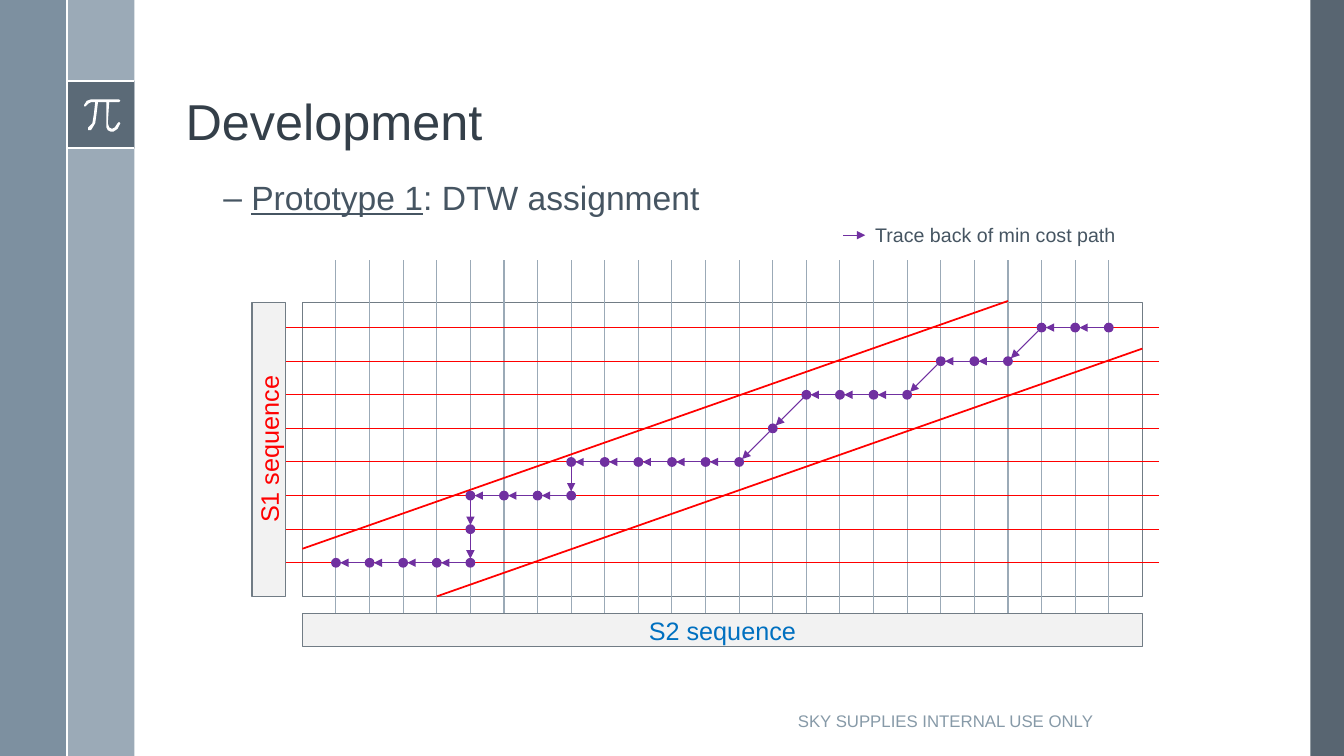
from itertools import pairwise
from math import hypot

from lxml import etree
from pptx import Presentation
from pptx.dml.color import RGBColor
from pptx.enum.shapes import MSO_CONNECTOR, MSO_SHAPE
from pptx.enum.text import MSO_ANCHOR, PP_ALIGN
from pptx.oxml.ns import qn
from pptx.util import Pt

WHITE = RGBColor(0xFF, 0xFF, 0xFF)
INK = RGBColor(0x34, 0x3F, 0x49)
SLATE = RGBColor(0x46, 0x55, 0x62)
STEEL = RGBColor(0x6A, 0x80, 0x93)
MIST = RGBColor(0x9B, 0xAA, 0xB7)
FOOTER = RGBColor(0x87, 0x9A, 0xA8)
BORDER = RGBColor(0x71, 0x7C, 0x85)
PALE = RGBColor(0xF2, 0xF2, 0xF2)
RED = RGBColor(0xFF, 0x00, 0x00)
BLUE = RGBColor(0x00, 0x70, 0xC0)
PURPLE = RGBColor(0x70, 0x30, 0xA0)


def add_line(shapes, x1, y1, x2, y2, color, width=0.75, arrow=None):
    """Draw a straight line; arrow is the end to point, "headEnd" or "tailEnd"."""
    c = shapes.add_connector(MSO_CONNECTOR.STRAIGHT, Pt(x1), Pt(y1), Pt(x2), Pt(y2))
    c.line.color.rgb = color
    c.line.width = Pt(width)
    if arrow:
        etree.SubElement(c.line._get_or_add_ln(), qn("a:" + arrow), type="triangle")
    etree.SubElement(c._element.spPr, qn("a:effectLst"))


def add_text(sp, text, size, color, align=PP_ALIGN.LEFT, anchor=MSO_ANCHOR.TOP,
             spacing=1.0, underline=False):
    """Append a run to the first paragraph of a shape and return the paragraph."""
    tf = sp.text_frame
    tf.word_wrap = True
    tf.vertical_anchor = anchor
    p = tf.paragraphs[0]
    p.alignment = align
    p.line_spacing = spacing
    r = p.add_run()
    r.text = text
    r.font.name = "Arial"
    r.font.size = Pt(size)
    r.font.color.rgb = color
    r.font.underline = underline
    return p


prs = Presentation()
prs.slide_width, prs.slide_height = Pt(960), Pt(540)
s = prs.slides.add_slide(prs.slide_layouts[6])

# Side bands and the pi tile
for x, y, w, h, color, opacity in [
    (936, 0, 24, 540, SLATE, 90),
    (48, 0, 48, 540, MIST, 100),
    (0, 0, 48, 540, STEEL, 87),
    (48, 58, 48, 48, SLATE, 75),
]:
    sp = s.shapes.add_shape(MSO_SHAPE.RECTANGLE, Pt(x), Pt(y), Pt(w), Pt(h))
    sp.shadow.inherit = False
    sp.fill.solid()
    sp.fill.fore_color.rgb = color
    sp.line.fill.background()
    if opacity < 100:
        srgb = sp._element.spPr.find(".//" + qn("a:srgbClr"))
        etree.SubElement(srgb, qn("a:alpha"), val=str(opacity * 1000))

for y in (58, 106):
    add_line(s.shapes, 48, y, 96, y, WHITE, 1.5)

PI_OUTLINE = [
    (85, 70.6), (64.8, 70.6), (62, 72), (60, 74.9), (60.5, 75.6), (61.2, 75.6),
    (62.6, 73.6), (64.8, 72.7), (67.7, 72.7), (67, 82), (65.5, 88), (63.4, 91.4),
    (63.4, 92.9), (64.8, 92.9), (67.5, 88), (69, 81), (69.8, 72.7), (76.3, 72.7),
    (75.6, 87.8), (75.8, 91), (77, 92.9), (79.2, 93.6), (80.6, 93.6), (84, 91.8),
    (85.7, 87.8), (85, 87.1), (83.5, 87.8), (82.3, 91), (79.9, 92.2), (77.8, 91.4),
    (77, 87.8), (78.5, 72.7), (85, 72.7), (85.7, 72),
]
outline = s.shapes.build_freeform(*PI_OUTLINE[0], scale=Pt(1))
outline.add_line_segments(PI_OUTLINE[1:], close=True)
pi = outline.convert_to_shape()
pi.shadow.inherit = False
pi.fill.solid()
pi.fill.fore_color.rgb = WHITE
pi.line.fill.background()
add_line(s.shapes, 48, 0, 48, 540, WHITE, 1.5)

# Title, subtitle and footer
title = s.shapes.add_textbox(Pt(125.5), Pt(14), Pt(770), Pt(98))
add_text(title, "Development", 36, INK, anchor=MSO_ANCHOR.BOTTOM, spacing=0.9)

body = s.shapes.add_textbox(Pt(124.5), Pt(126), Pt(770), Pt(360))
add_text(body, "Prototype 1", 24, SLATE, spacing=0.9, underline=True)
p = add_text(body, ": DTW assignment", 24, SLATE, spacing=0.9)
pPr = p._p.get_or_add_pPr()
pPr.set("marL", str(Pt(48)))
pPr.set("indent", str(Pt(-20)))
etree.SubElement(pPr, qn("a:buFont"), typeface="Arial")
etree.SubElement(pPr, qn("a:buChar"), char="–")

footer = s.shapes.add_textbox(Pt(519), Pt(500.5), Pt(313), Pt(29))
add_text(footer, "SKY SUPPLIES INTERNAL USE ONLY", 12, FOOTER,
         align=PP_ALIGN.CENTER, anchor=MSO_ANCHOR.MIDDLE)

# Warping grid
STEP, LEFT, TOP = 24, 240, 234
COLS, ROWS = 24, 8

plot = s.shapes.add_shape(MSO_SHAPE.RECTANGLE, Pt(216), Pt(216), Pt(600), Pt(210))
plot.shadow.inherit = False
plot.fill.background()
plot.line.color.rgb = BORDER
plot.line.width = Pt(1)

grid = s.shapes.add_group_shape().shapes
for col in range(COLS):
    x = LEFT + col * STEP
    add_line(grid, x, 186, x, 450, MIST)
for row in range(ROWS):
    y = TOP + row * STEP
    add_line(grid, 828, y, 204, y, RED)

for text, x, y, w, color, rotation in [
    ("S1 sequence", 87, 309, 210, RED, 270),
    ("S2 sequence", 216, 438, 600, BLUE, 0),
]:
    sp = s.shapes.add_shape(MSO_SHAPE.RECTANGLE, Pt(x), Pt(y), Pt(w), Pt(24))
    sp.shadow.inherit = False
    sp.rotation = rotation
    sp.fill.solid()
    sp.fill.fore_color.rgb = PALE
    sp.line.color.rgb = BORDER
    sp.line.width = Pt(1)
    add_text(sp, text, 18, color, align=PP_ALIGN.CENTER, anchor=MSO_ANCHOR.MIDDLE)

# Search band limits
add_line(s.shapes, 312, 426, 816, 249, RED, 1.25)
add_line(s.shapes, 216, 392, 720, 215, RED, 1.25)

# Minimum cost path: (row, first column, last column)
RADIUS = 3
RUNS = [(7, 0, 4), (6, 4, 4), (5, 4, 7), (4, 7, 12),
        (3, 13, 13), (2, 14, 17), (1, 18, 20), (0, 21, 23)]
nodes = [(LEFT + col * STEP, TOP + row * STEP)
         for row, first, last in RUNS for col in range(first, last + 1)]

add_line(s.shapes, 602.5, 168, 618, 168, PURPLE, arrow="tailEnd")
for (x1, y1), (x2, y2) in pairwise(nodes):
    length = hypot(x2 - x1, y2 - y1)
    dx, dy = RADIUS * (x2 - x1) / length, RADIUS * (y2 - y1) / length
    add_line(s.shapes, x1 + dx, y1 + dy, x2 - dx, y2 - dy, PURPLE, arrow="headEnd")

dots = s.shapes.add_group_shape().shapes
for x, y in nodes:
    dot = dots.add_shape(MSO_SHAPE.OVAL, Pt(x - RADIUS), Pt(y - RADIUS),
                         Pt(2 * RADIUS), Pt(2 * RADIUS))
    dot.shadow.inherit = False
    dot.fill.solid()
    dot.fill.fore_color.rgb = PURPLE
    dot.line.color.rgb = PURPLE
    dot.line.width = Pt(1)

legend = s.shapes.add_textbox(Pt(618), Pt(156), Pt(238), Pt(24.5))
add_text(legend, "Trace back of min cost path", 14, SLATE)

prs.save("out.pptx")
